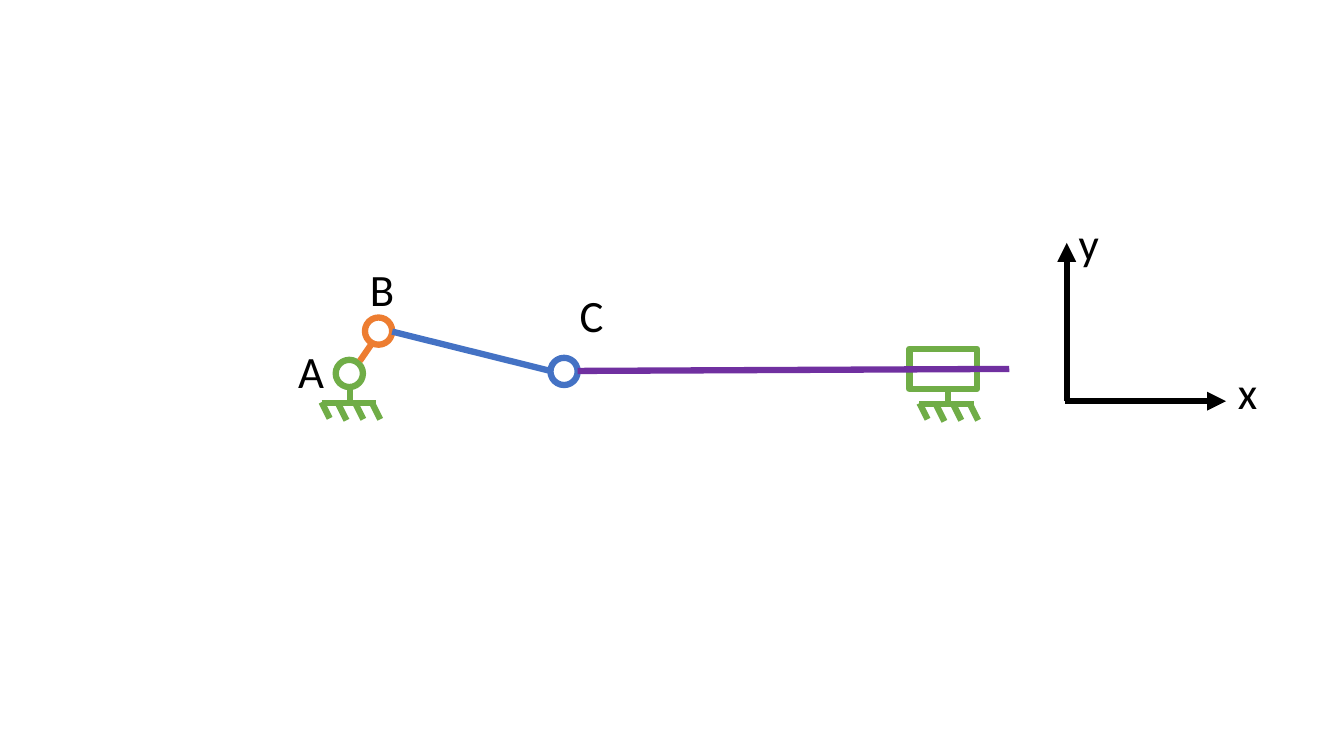
from lxml.etree import SubElement
from pptx import Presentation
from pptx.dml.color import RGBColor
from pptx.enum.shapes import MSO_CONNECTOR, MSO_SHAPE
from pptx.enum.text import MSO_AUTO_SIZE as AutoSize
from pptx.oxml.ns import qn
from pptx.util import Inches, Pt

WHITE = RGBColor(0xFF, 0xFF, 0xFF)
BLACK = RGBColor(0x00, 0x00, 0x00)
GREEN = RGBColor(0x70, 0xAD, 0x47)
ORANGE = RGBColor(0xED, 0x7D, 0x31)
BLUE = RGBColor(0x44, 0x72, 0xC4)
PURPLE = RGBColor(0x70, 0x30, 0xA0)


class LinkageDiagram:
    font_name = "Calibri"
    font_size = Pt(32)
    line_width = Pt(4.5)
    joint_size = 0.27

    def __init__(self, slide):
        self.shapes = slide.shapes

    def outline(self, kind, x, y, w, h, color):
        sp = self.shapes.add_shape(kind, Inches(x), Inches(y), Inches(w), Inches(h))
        sp.shadow.inherit = False
        sp.fill.solid()
        sp.fill.fore_color.rgb = WHITE
        sp.line.color.rgb = color
        sp.line.width = self.line_width

    def joint(self, x, y, color):
        self.outline(MSO_SHAPE.OVAL, x, y, self.joint_size, self.joint_size, color)

    def slider(self, x, y, w, h):
        self.outline(MSO_SHAPE.RECTANGLE, x, y, w, h, GREEN)

    def line(self, x1, y1, x2, y2, color):
        cxn = self.shapes.add_connector(
            MSO_CONNECTOR.STRAIGHT, Inches(x1), Inches(y1), Inches(x2), Inches(y2))
        cxn.line.color.rgb = color
        cxn.line.width = self.line_width
        SubElement(cxn._element.spPr, qn("a:effectLst"))
        return cxn

    def axis(self, x1, y1, x2, y2):
        cxn = self.line(x1, y1, x2, y2, BLACK)
        SubElement(cxn.line._get_or_add_ln(), qn("a:tailEnd"), type="triangle")

    def ground(self, x, y):
        self.line(x, y, x + 0.54, y, GREEN)
        for i, drop in enumerate((-0.01, 0.01, 0, 0)):
            left, top = x + i * 0.167, y + drop
            self.line(left, top, left + 0.08, top + 0.16, GREEN)
        self.line(x + 0.28, y - 0.16, x + 0.28, y + 0.01, GREEN)

    def label(self, text, x, y, w):
        tb = self.shapes.add_textbox(Inches(x), Inches(y), Inches(w), Inches(0.64))
        tf = tb.text_frame
        tf.word_wrap = False
        tf.auto_size = AutoSize.SHAPE_TO_FIT_TEXT
        tf.text = text
        font = tf.paragraphs[0].runs[0].font
        font.name = self.font_name
        font.size = self.font_size
        font.color.rgb = BLACK


def main():
    prs = Presentation()
    prs.slide_width = Inches(13.33)
    prs.slide_height = Inches(7.5)
    diagram = LinkageDiagram(prs.slides.add_slide(prs.slide_layouts[6]))

    diagram.joint(3.33, 3.57, GREEN)
    diagram.joint(3.62, 3.15, ORANGE)
    diagram.joint(5.46, 3.55, BLUE)
    diagram.ground(3.19, 4)
    diagram.line(3.57, 3.58, 3.68, 3.42, ORANGE)
    diagram.line(3.89, 3.29, 5.46, 3.68, BLUE)

    diagram.slider(9.02, 3.46, 0.67, 0.4)
    diagram.ground(9.12, 4.01)
    diagram.line(5.73, 3.68, 10.01, 3.66, PURPLE)

    diagram.axis(10.56, 3.98, 12.16, 3.98)
    diagram.axis(10.58, 3.98, 10.58, 2.41)

    for text, x, y, w in (
        ("x", 12.18, 3.57, 0.4),
        ("y", 10.6, 2.09, 0.41),
        ("A", 2.86, 3.36, 0.46),
        ("B", 3.57, 2.55, 0.45),
        ("C", 5.65, 2.81, 0.44),
    ):
        diagram.label(text, x, y, w)

    prs.save("out.pptx")


if __name__ == "__main__":
    main()
